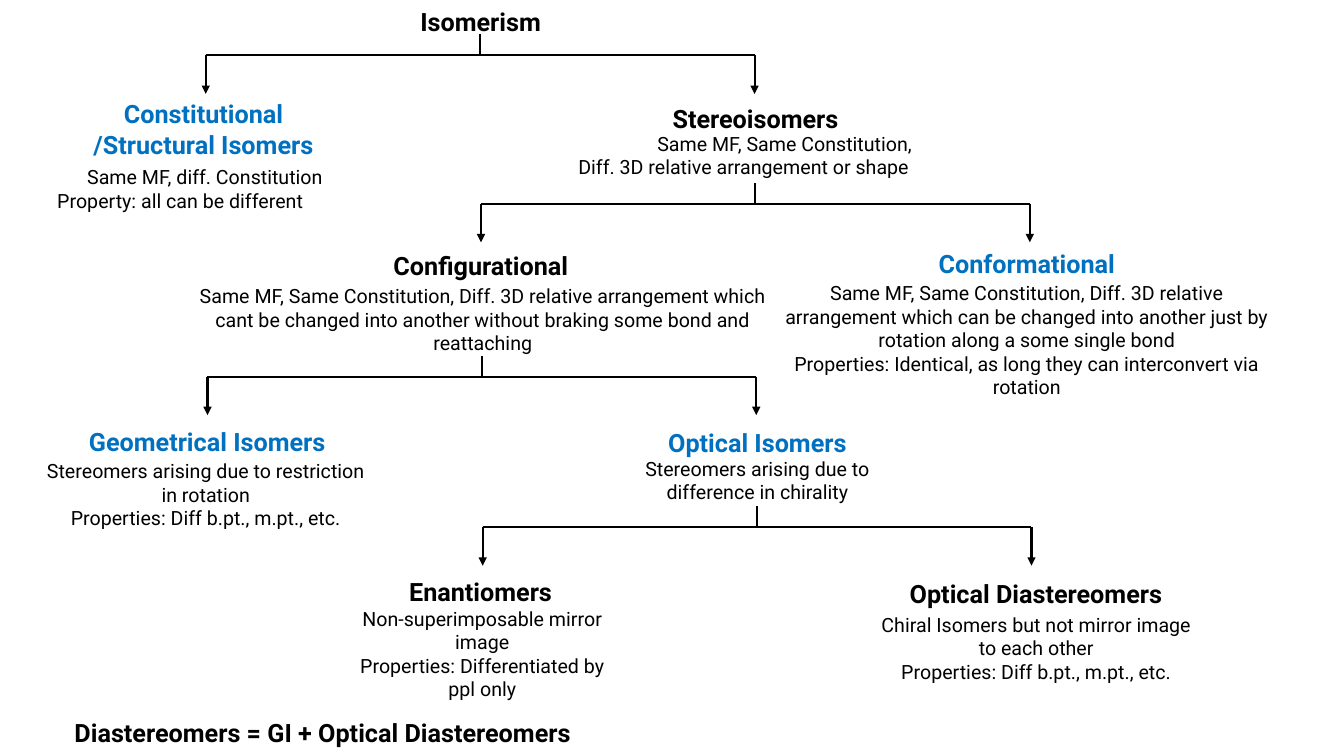
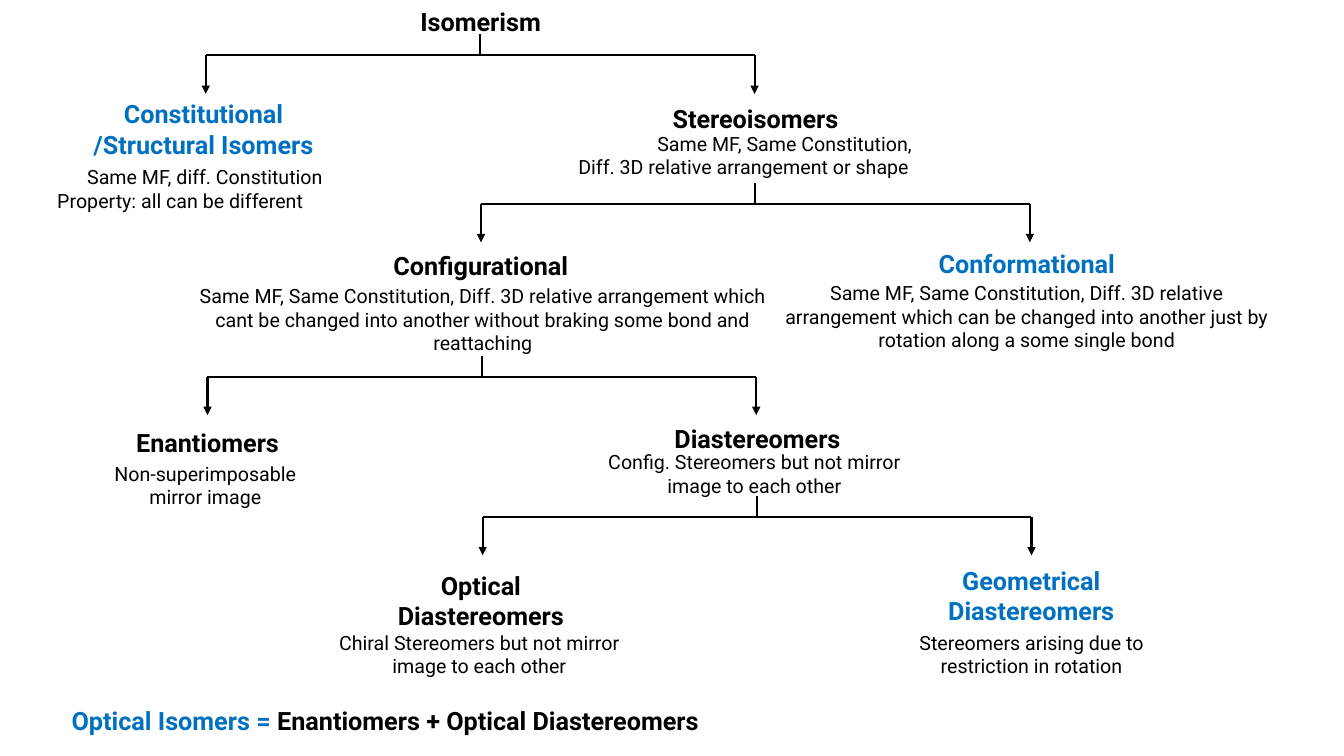
from typing import NamedTuple

from lxml.etree import SubElement
from pptx import Presentation
from pptx.dml.color import RGBColor
from pptx.enum.shapes import MSO_CONNECTOR
from pptx.enum.text import MSO_ANCHOR, MSO_AUTO_SIZE, PP_ALIGN
from pptx.oxml.ns import qn
from pptx.util import Pt

BLACK = RGBColor(0x00, 0x00, 0x00)
BLUE = RGBColor(0x00, 0x70, 0xC0)
HEADING = {"name": "Roboto", "size": Pt(18), "bold": True}
DETAIL = {"name": "Roboto", "size": Pt(14), "bold": False}
FRAME = {
    "word_wrap": True,
    "auto_size": MSO_AUTO_SIZE.NONE,
    "vertical_anchor": MSO_ANCHOR.TOP,
    "margin_left": Pt(7.2),
    "margin_right": Pt(7.2),
    "margin_top": Pt(3.6),
    "margin_bottom": Pt(3.6),
}
SLIDE_WIDTH, SLIDE_HEIGHT = 960, 540
BRANCH_SPAN, STEM_RISE, ARROW_DROP, LINE_WIDTH = 392, 15, 27.5, 1.5


class Label(NamedTuple):
    place: tuple  # left, top, width, height in points
    lines: list
    font: dict = DETAIL
    color: RGBColor = BLACK
    lead: str = ""  # blue words before the first line
    last_align: PP_ALIGN = PP_ALIGN.CENTER


TITLE = Label((242.5, 0.7, 201.6, 28.8), ["Isomerism"], HEADING)
CONFORMATIONAL_TEXT = (
    "Same MF, Same Constitution, Diff. 3D relative arrangement which can be "
    "changed into another just by rotation along a some single bond"
)
CONFORMATIONAL_PLACE = (548, 197.3, 371, 58)

# Each branch is the left end and height of its horizontal bar.
SHARED_BRANCHES = [(147, 39.6), (343.6, 145.6), (148.2, 269)]
SHARED_LABELS = [
    Label((44.6, 67, 201.6, 51), ["Constitutional", "/Structural Isomers"], HEADING, BLUE),
    Label((33.8, 114.5, 225.4, 41), ["Same MF, diff. Constitution",
          "Property: all can be different"], last_align=PP_ALIGN.LEFT),
    Label((468, 70.6, 143.3, 28.8), ["Stereoisomers"], HEADING),
    Label((406, 90.5, 309, 41), ["Same MF, Same Constitution,",
          "Diff. 3D relative arrangement or shape"], last_align=PP_ALIGN.LEFT),
    Label((260, 175, 167, 28.8), ["Configurational"], HEADING),
    Label((132.5, 199.4, 424.8, 58), [
        "Same MF, Same Constitution, Diff. 3D relative arrangement which cant be "
        "changed into another without braking some bond and reattaching"]),
    Label((656, 173.5, 154.8, 28.8), ["Conformational"], HEADING, BLUE),
]

SLIDES = [
    {
        "branch": (344.8, 376.6),
        "labels": [
            Label(CONFORMATIONAL_PLACE, [CONFORMATIONAL_TEXT,
                  "Properties: Identical, as long they can interconvert via rotation"]),
            Label((46, 301, 204, 28.8), ["Geometrical Isomers"], HEADING, BLUE),
            Label((26, 324.3, 242, 58), ["Stereomers arising due to restriction in rotation",
                  "Properties: Diff b.pt., m.pt., etc."]),
            Label((461.5, 301.7, 159, 28.8), ["Optical Isomers"], HEADING, BLUE),
            Label((428.4, 322.6, 225.4, 41),
                  ["Stereomers arising due to difference in chirality"]),
            Label((276, 408.3, 134.6, 28.8), ["Enantiomers"], HEADING),
            Label((244, 429.8, 201, 75), ["Non-superimposable mirror image",
                  "Properties: Differentiated by ppl only"]),
            Label((632, 409.7, 216, 28.8), ["Optical Diastereomers"], HEADING),
            Label((617.8, 434, 244.8, 75), [
                "Chiral Isomers but not mirror image to each other",
                "Properties: Diff b.pt., m.pt., etc."]),
            Label((2.3, 509.2, 456.5, 28.8),
                  ["Diastereomers = GI + Optical Diastereomers"], HEADING),
        ],
    },
    {
        "branch": (344.8, 369.2),
        "labels": [
            Label(CONFORMATIONAL_PLACE, [CONFORMATIONAL_TEXT]),
            Label((81, 301.7, 134.6, 28.8), ["Enantiomers"], HEADING),
            Label((56, 326.2, 181.4, 41), ["Non-superimposable mirror image"]),
            Label((464.4, 298.8, 153.4, 28.8), ["Diastereomers"], HEADING),
            Label((426.2, 318, 225.4, 41),
                  ["Config. Stereomers but not mirror image to each other"]),
            Label((268.6, 404, 149.8, 51), ["Optical Diastereomers"], HEADING),
            Label((229.7, 447, 225.4, 41),
                  ["Chiral Stereomers but not mirror image to each other"]),
            Label((661.7, 400.3, 149.8, 51), ["Geometrical Diastereomers"], HEADING, BLUE),
            Label((624.2, 447, 225.4, 41),
                  ["Stereomers arising due to restriction in rotation"]),
            Label((2.3, 500.4, 545.8, 28.8), ["Enantiomers + Optical Diastereomers"],
                  HEADING, lead="Optical Isomers = "),
        ],
    },
]


def apply_format(target, values):
    for name, value in values.items():
        setattr(target, name, value)


def add_span(para, text, font, color):
    span = para.add_run()
    span.text = text
    apply_format(span.font, font)
    span.font.color.rgb = color


def fill_box(box, label):
    frame = box.text_frame
    apply_format(frame, FRAME)
    for index, line in enumerate(label.lines):
        para = frame.add_paragraph() if index else frame.paragraphs[0]
        para.alignment = PP_ALIGN.CENTER
        if index == 0 and label.lead:
            add_span(para, label.lead, label.font, BLUE)
        add_span(para, line, label.font, label.color)
    para.alignment = label.last_align


def add_title(page, label):
    title = page.shapes.title
    apply_format(title, dict(zip(("left", "top", "width", "height"), map(Pt, label.place))))
    fill_box(title, label)


def add_line(page, start, end, arrow=False):
    connector = page.shapes.add_connector(
        MSO_CONNECTOR.STRAIGHT, *(Pt(value) for value in start + end))
    connector.line.width = Pt(LINE_WIDTH)
    connector.line.color.rgb = BLACK
    properties = connector.element.spPr
    if arrow:
        SubElement(properties.find(qn("a:ln")), qn("a:tailEnd"), type="triangle")
    SubElement(properties, qn("a:effectLst"))


def add_branch(page, left, bar):
    """Draw a stem from the parent, a bar, and an arrow down to each child."""
    right, middle = left + BRANCH_SPAN, left + BRANCH_SPAN / 2
    add_line(page, (left, bar), (right, bar))
    add_line(page, (middle, bar), (middle, bar - STEM_RISE))
    for child in (left, right):
        add_line(page, (child, bar), (child, bar + ARROW_DROP), arrow=True)


def main():
    deck = Presentation()
    deck.slide_width, deck.slide_height = Pt(SLIDE_WIDTH), Pt(SLIDE_HEIGHT)
    title_only = deck.slide_layouts[5]
    for content in SLIDES:
        page = deck.slides.add_slide(title_only)
        add_title(page, TITLE)
        for left, bar in SHARED_BRANCHES + [content["branch"]]:
            add_branch(page, left, bar)
        for label in SHARED_LABELS + content["labels"]:
            fill_box(page.shapes.add_textbox(*map(Pt, label.place)), label)
    deck.save("out.pptx")


if __name__ == "__main__":
    main()
